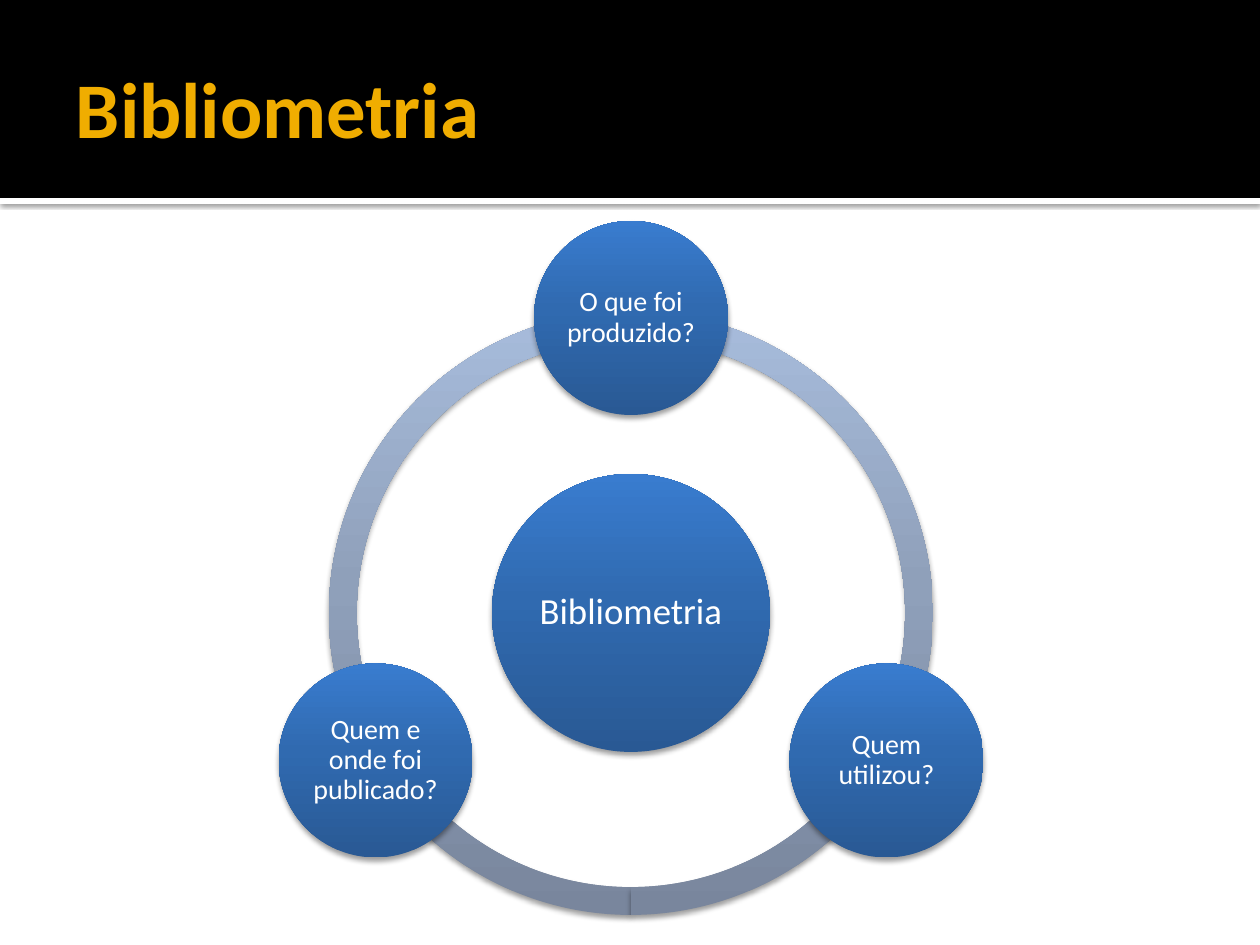
import math

from lxml import etree
from pptx import Presentation
from pptx import util as u
from pptx.dml.color import RGBColor
from pptx.enum import shapes, text
from pptx.oxml import ns

COLORS = {"black": "000000", "white": "FFFFFF", "gold": "F0AD00"}
RING_STOPS = [(0, "79869D"), (55, "8FA0BA"), (100, "A7BCDC")]
DISC_STOPS = [(0, "295994"), (55, "306AB0"), (100, "397CCF")]
SOFT_SHADOW = {"alpha": 38, "blur": 3.1, "dist": 2}
STRIP_SHADOW = {"alpha": 60, "blur": 2.5, "dist": 0.8}

TITLE = "Bibliometria"
HUB = "Bibliometria"
QUESTIONS = ["O que foi produzido?", "Quem utilizou?", "Quem e onde foi publicado?"]
BANDS = [((0, 198, 1260, 6), "white", STRIP_SHADOW), ((0, 0, 1260, 198), "black", None)]
ARC_ANGLES = [(90, 162), (18, 90), (162, 18)]

CENTER = (631, 613)
RING_SIZE, HUB_SIZE, NODE_SIZE = 604, 278, 194
ORBIT = 295
RING_THICKNESS = 0.046


def px(value):
    """Turn pixels into EMU."""
    return round(value * 914400 / 126)


def centered(x, y, size):
    """Return the box of a square with its centre at x, y."""
    return x - size / 2, y - size / 2, size, size


def child(parent, tag, **attributes):
    """Append a drawing element to parent."""
    node = etree.SubElement(parent, ns.qn("a:" + tag))
    for key, value in attributes.items():
        node.set(key, str(value))
    return node


def add_shadow(shape, alpha, blur, dist):
    """Give a shape a black shadow that falls straight down."""
    effects = shape._element.spPr.find(ns.qn("a:effectLst"))
    shadow = child(effects, "outerShdw", blurRad=u.Pt(blur), dist=u.Pt(dist),
                   dir=90 * 60000, algn="ctr", rotWithShape=0)
    color = child(shadow, "srgbClr", val=COLORS["black"])
    child(color, "alpha", val=alpha * 1000)


def add_plain(page, kind, box, shadow=None):
    """Add a preset shape without an outline."""
    shape = page.shapes.add_shape(kind, *map(px, box))
    shape.line.fill.background()
    shape.shadow.inherit = False
    if shadow:
        add_shadow(shape, **shadow)
    return shape


def fill_gradient(shape, stops):
    """Fill a shape with a gradient that runs from bottom to top."""
    shape.fill.gradient()
    gradient = shape._element.spPr.find(ns.qn("a:gradFill"))
    for old in list(gradient):
        gradient.remove(old)
    stop_list = child(gradient, "gsLst")
    for position, color in stops:
        child(child(stop_list, "gs", pos=position * 1000), "srgbClr", val=color)
    child(gradient, "lin", ang=270 * 60000, scaled=0)


def write(shape, words, color, insets, align, spacing, **font):
    """Put one formatted paragraph into a shape."""
    frame = shape.text_frame
    frame.word_wrap = True
    frame.auto_size = text.MSO_AUTO_SIZE.NONE
    frame.vertical_anchor = text.MSO_ANCHOR.MIDDLE
    for side, inset in zip(("left", "top", "right", "bottom"), insets):
        setattr(frame, "margin_" + side, px(inset))
    para = frame.paragraphs[0]
    para.alignment, para.line_spacing = align, spacing
    span = para.add_run()
    span.text = words
    for key, value in {"name": "Calibri", **font}.items():
        setattr(span.font, key, value)
    span.font.color.rgb = RGBColor.from_string(COLORS[color])


def add_disc(page, words, x, y, size, points, inset):
    """Add a labelled circle centred at x, y."""
    disc = add_plain(page, shapes.MSO_SHAPE.OVAL, centered(x, y, size), SOFT_SHADOW)
    fill_gradient(disc, DISC_STOPS)
    write(disc, words, "white", [inset] * 4, text.PP_ALIGN.CENTER, 0.9, size=u.Pt(points))


deck = Presentation()
deck.slide_width, deck.slide_height = px(1260), px(945)
page = deck.slides.add_slide(deck.slide_layouts[5])

title = page.shapes.title
title.left, title.top, title.width, title.height = map(px, (63, 21, 1134, 173))
write(title, TITLE, "gold", (13, 6, 6, 6), text.PP_ALIGN.LEFT, 1.0, size=u.Pt(45), bold=True)

for box, color, shadow in BANDS:
    band = add_plain(page, shapes.MSO_SHAPE.RECTANGLE, box, shadow)
    band.fill.solid()
    band.fill.fore_color.rgb = RGBColor.from_string(COLORS[color])
    title._element.addprevious(band._element)

for start, end in ARC_ANGLES:
    arc = add_plain(page, shapes.MSO_SHAPE.BLOCK_ARC, centered(*CENTER, RING_SIZE), SOFT_SHADOW)
    for index, value in enumerate((start * 0.6, end * 0.6, RING_THICKNESS)):
        arc.adjustments[index] = value
    fill_gradient(arc, RING_STOPS)

add_disc(page, HUB, *CENTER, HUB_SIZE, 21, 4)
for index, question in enumerate(QUESTIONS):
    angle = math.radians(index * 360 / len(QUESTIONS) - 90)
    x = CENTER[0] + ORBIT * math.cos(angle)
    y = CENTER[1] + ORBIT * math.sin(angle)
    add_disc(page, question, x, y, NODE_SIZE, 16, 3)

deck.save("out.pptx")
